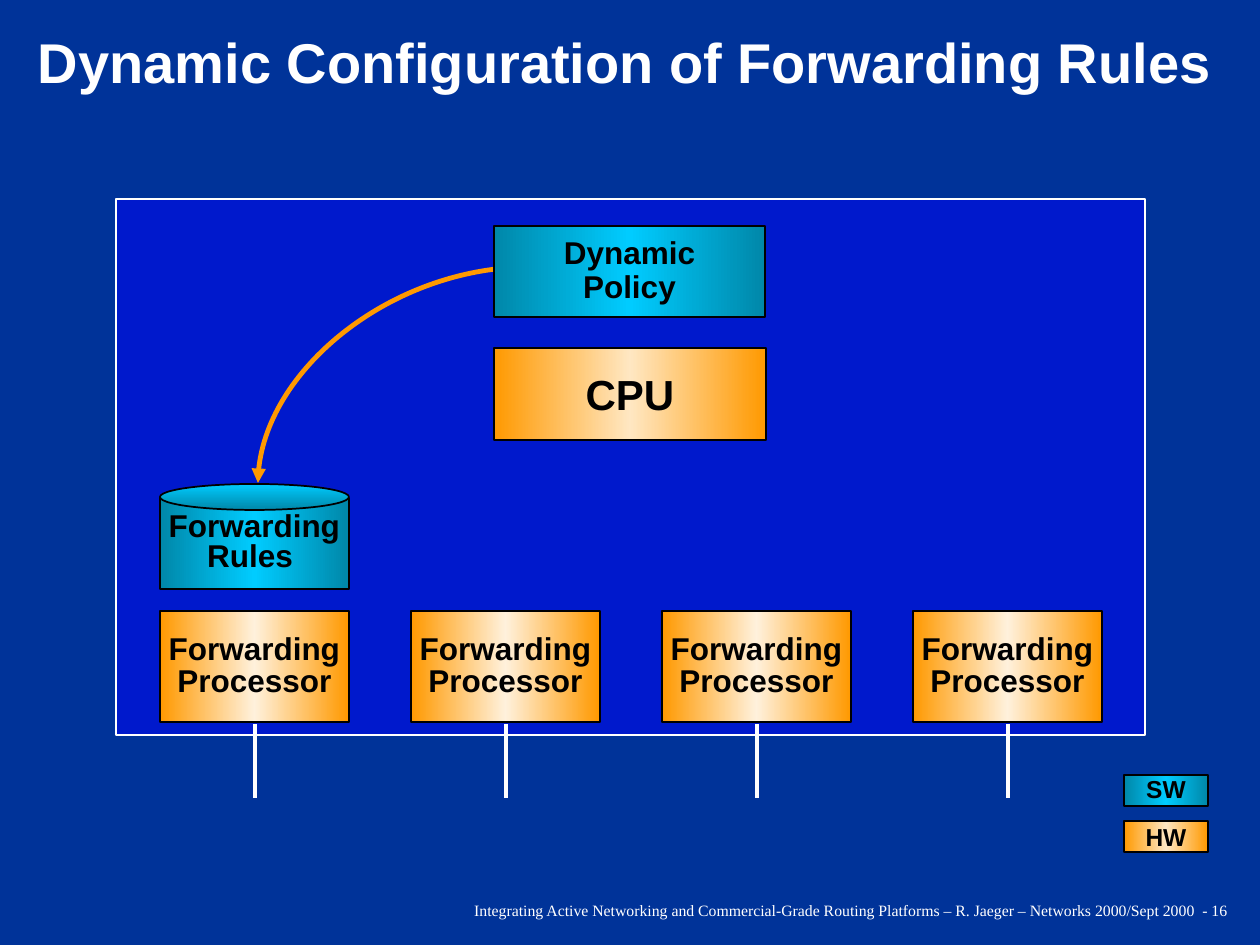
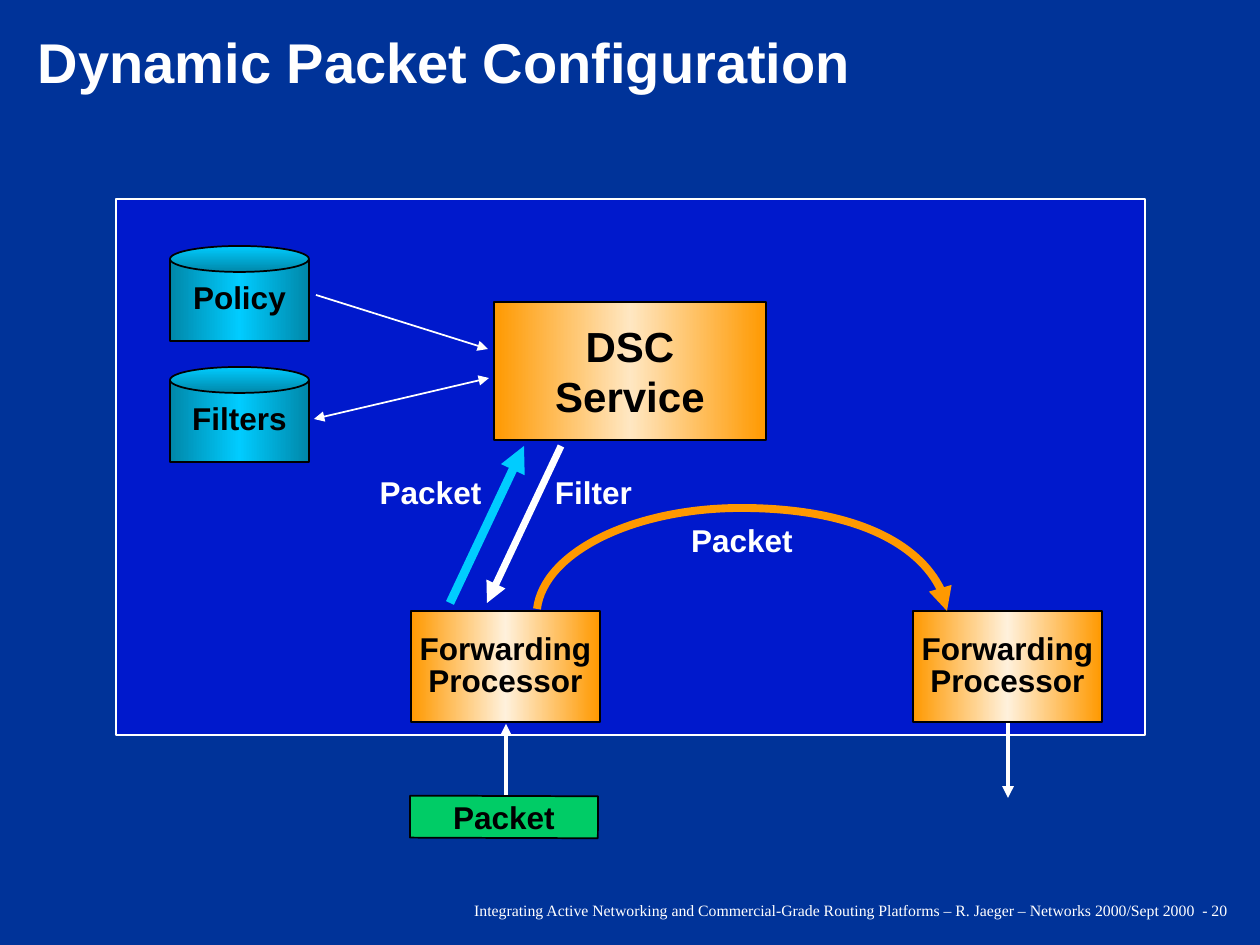
from lxml import etree
from pptx import Presentation
from pptx.dml.color import RGBColor
from pptx.enum.shapes import MSO_CONNECTOR, MSO_SHAPE
from pptx.enum.text import MSO_ANCHOR, MSO_AUTO_SIZE, PP_ALIGN
from pptx.oxml.ns import qn
from pptx.util import Emu, Pt

RECT, OVAL = MSO_SHAPE.RECTANGLE, MSO_SHAPE.OVAL
STRAIGHT, CURVE = MSO_CONNECTOR.STRAIGHT, MSO_CONNECTOR.CURVE
TOP, MIDDLE = MSO_ANCHOR.TOP, MSO_ANCHOR.MIDDLE
LEFT, CENTER, RIGHT = PP_ALIGN.LEFT, PP_ALIGN.CENTER, PP_ALIGN.RIGHT
NO_FIT = MSO_AUTO_SIZE.NONE

NAVY = RGBColor(0x00, 0x33, 0x99)
BLUE = RGBColor(0x00, 0x00, 0xFF)
WHITE = RGBColor(0xFF, 0xFF, 0xFF)
BLACK = RGBColor(0x00, 0x00, 0x00)
ORANGE = RGBColor(0xFF, 0x99, 0x00)
CREAM = RGBColor(0xFF, 0xE7, 0xC2)
PALE = RGBColor(0xFF, 0xF1, 0xDC)
TEAL = RGBColor(0x00, 0x87, 0xA9)
CYAN = RGBColor(0x00, 0xCC, 0xFF)
GREEN = RGBColor(0x00, 0xCC, 0x66)

HARDWARE = (ORANGE, CREAM, ORANGE)
PROCESSOR = (ORANGE, PALE, ORANGE)
SOFTWARE = (TEAL, CYAN, TEAL)
LID = (CYAN, TEAL)

SANS, SERIF = "Arial", "Times New Roman"
FOOTER = ("Integrating Active Networking and Commercial-Grade Routing Platforms"
          " – R. Jaeger – Networks 2000/Sept 2000  - {}")
PORT_TOP, PORT_END = 724, 798


def px(n):
    return Emu(round(n * 914400 / 126))


def port_x(i):
    return 255 + 251 * i


class Deck:
    def __init__(self):
        self.prs = Presentation()
        self.prs.slide_width, self.prs.slide_height = px(1260), px(945)
        fill = self.prs.slide_master.background.fill
        fill.solid()
        fill.fore_color.rgb = NAVY

    def slide(self, title, number):
        s = self.prs.slides.add_slide(self.prs.slide_layouts[5])
        self.shapes = s.shapes
        sp = s.shapes.title
        sp.left, sp.top, sp.width, sp.height = map(px, (32, 35, 1205, 60))
        self.text(sp, [title], 32, WHITE, align=LEFT, spacing=0.9,
                  anchor=TOP, wrap=True, margins=(6, 0))
        self.label(262, 895, 977, 33, FOOTER.format(number), size=9,
                   font=SERIF, bold=False, align=RIGHT, anchor=TOP)
        panel = self.shape(RECT, 116, 199, 1029, 536, BLUE, WHITE, 0.75)
        color = panel._element.spPr.find(qn("a:solidFill"))[0]
        etree.SubElement(color, qn("a:alpha"), val="50000")

    def text(self, sp, lines, size, color, font=SANS, bold=True, align=CENTER,
             spacing=1.0, anchor=MIDDLE, wrap=False, margins=(12, 6)):
        tf = sp.text_frame
        tf.auto_size, tf.word_wrap, tf.vertical_anchor = NO_FIT, wrap, anchor
        tf.margin_left = tf.margin_right = px(margins[0])
        tf.margin_top = tf.margin_bottom = px(margins[1])
        for i, line in enumerate(lines):
            p = tf.add_paragraph() if i else tf.paragraphs[0]
            p.alignment, p.line_spacing = align, spacing
            r = p.add_run()
            r.text = line
            r.font.name, r.font.size, r.font.bold = font, Pt(size), bold
            r.font.color.rgb = color

    def label(self, x, y, w, h, line, size=18, **style):
        sp = self.shapes.add_textbox(*map(px, (x, y, w, h)))
        self.text(sp, [line], size, WHITE, wrap=True, **style)

    def shape(self, kind, x, y, w, h, fill, line=BLACK, weight=1, angle=0):
        sp = self.shapes.add_shape(kind, *map(px, (x, y, w, h)))
        sp.shadow.inherit = False
        if isinstance(fill, RGBColor):
            sp.fill.solid()
            sp.fill.fore_color.rgb = fill
        else:
            self.gradient(sp, fill, angle)
        sp.line.color.rgb, sp.line.width = line, Pt(weight)
        return sp

    def gradient(self, sp, colors, angle):
        sp.fill.gradient()
        sp.fill.gradient_angle = angle
        stops = sp._element.spPr.find(".//" + qn("a:gsLst"))
        for stop in list(stops):
            stops.remove(stop)
        for i, color in enumerate(colors):
            pos = str(100000 * i // (len(colors) - 1))
            stop = etree.SubElement(stops, qn("a:gs"), pos=pos)
            etree.SubElement(stop, qn("a:srgbClr"), val=str(color))

    def box(self, x, y, w, h, lines, fill, size=18, spacing=1.0, weight=1):
        sp = self.shape(RECT, x, y, w, h, fill, weight=weight)
        self.text(sp, lines, size, BLACK, spacing=spacing)
        return sp

    def cylinder(self, x, y, w, h, lines):
        self.box(x, y + 14, w, h - 14, lines, SOFTWARE, spacing=0.8)
        self.shape(OVAL, x, y, w, 26, LID, angle=270)

    def processor(self, i):
        self.box(port_x(i) - 95, 611, 189, 111, ["Forwarding", "Processor"],
                 PROCESSOR, spacing=0.85, weight=0.75)

    def stroke(self, sp, color, weight, ends):
        sp.line.color.rgb, sp.line.width = color, Pt(weight)
        ln = sp._element.spPr.find(qn("a:ln"))
        for end in ends:
            etree.SubElement(ln, qn("a:" + end), type="triangle")

    def line(self, x1, y1, x2, y2, color=WHITE, weight=2.25, ends=(),
             kind=STRAIGHT):
        sp = self.shapes.add_connector(kind, *map(px, (x1, y1, x2, y2)))
        self.stroke(sp, color, weight, ends)
        spPr = sp._element.spPr
        etree.SubElement(spPr, qn("a:effectLst"))
        if kind == CURVE:
            spPr.find(qn("a:prstGeom")).set("prst", "curvedConnector2")

    def bezier(self, start, points, color, weight, ends):
        fb = self.shapes.build_freeform(*map(px, start))
        fb.add_line_segments([tuple(map(px, pt)) for pt in points], close=False)
        sp = fb.convert_to_shape()
        sp.shadow.inherit = False
        sp.fill.background()
        outline = sp._element.spPr.find(".//" + qn("a:path"))
        segments = outline.findall(qn("a:lnTo"))
        for i in range(0, len(segments), 3):
            curve = etree.SubElement(outline, qn("a:cubicBezTo"))
            for segment in segments[i:i + 3]:
                curve.append(segment[0])
                outline.remove(segment)
        self.stroke(sp, color, weight, ends)


def forwarding_rules(d):
    d.slide("Dynamic Configuration of Forwarding Rules", 16)
    d.line(530, 267, 258, 483, ORANGE, 2.75, ["tailEnd"], CURVE)
    d.box(494, 348, 272, 92, ["CPU"], HARDWARE, size=24)
    d.box(494, 226, 271, 91, ["Dynamic", "Policy"], SOFTWARE, spacing=0.9)
    d.cylinder(160, 484, 189, 105, ["Forwarding", "Rules "])
    d.box(1124, 775, 84, 31, ["SW"], SOFTWARE, size=14, spacing=0.9)
    d.box(1124, 821, 84, 31, ["HW"], HARDWARE, size=14)
    for i in range(4):
        d.line(port_x(i), PORT_TOP, port_x(i), PORT_END)
        d.processor(i)


def packet_configuration(d):
    d.slide("Dynamic Packet Configuration", 20)
    d.line(port_x(1), PORT_TOP, port_x(1), PORT_END, ends=["headEnd"])
    d.line(port_x(3), 694, port_x(3), PORT_END, ends=["tailEnd"])
    d.box(494, 302, 272, 138, ["DSC", "Service"], HARDWARE, size=24)
    for i in (1, 3):
        d.processor(i)
    d.line(450, 603, 524, 446, CYAN, 5, ["tailEnd"])
    d.box(410, 796, 188, 42, ["Packet"], GREEN).rotation = 0.2
    d.line(316, 295, 488, 349, weight=1, ends=["tailEnd"])
    d.line(314, 419, 489, 378, weight=1, ends=["headEnd", "tailEnd"])
    d.line(561, 446, 487, 603, weight=4, ends=["tailEnd"])
    d.label(679, 515, 126, 50, "Packet", anchor=MIDDLE)
    d.label(353, 467, 155, 50, "Packet", anchor=MIDDLE)
    d.label(525, 467, 137, 50, "Filter", anchor=MIDDLE)
    d.bezier((537, 609), [(544, 552), (634, 508), (741, 508),
                          (852, 508), (941, 553), (947, 611)],
             ORANGE, 4.5, ["tailEnd"])
    for y, name in ((246, "Policy"), (367, "Filters")):
        d.cylinder(170, y, 139, 95, [name])


def main():
    d = Deck()
    forwarding_rules(d)
    packet_configuration(d)
    d.prs.save("out.pptx")


if __name__ == "__main__":
    main()
